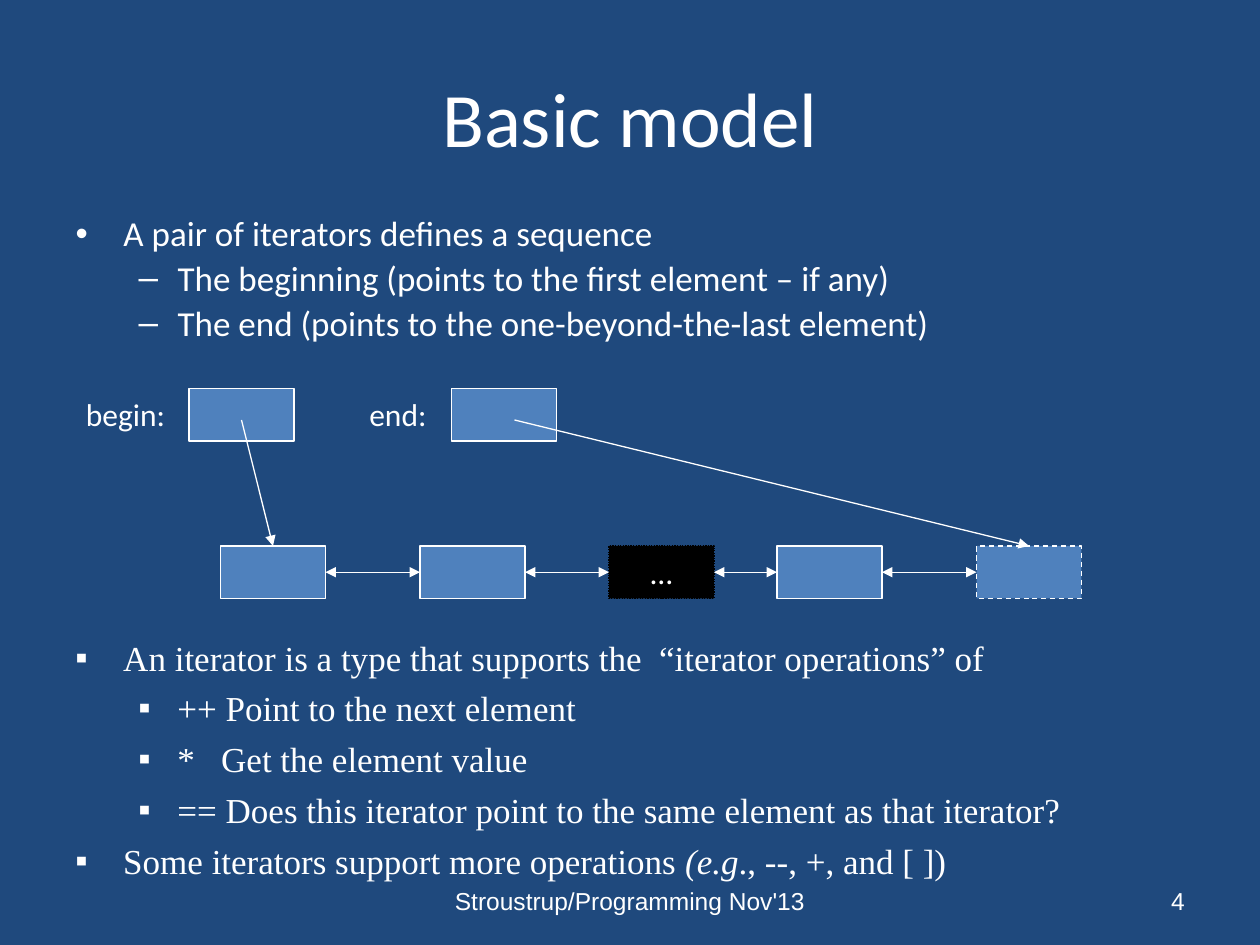
from itertools import pairwise

from lxml import etree
from pptx import Presentation
from pptx import util as u
from pptx.dml.color import RGBColor
from pptx.enum import dml, shapes, text
from pptx.oxml.ns import qn

COLORS = {"back": "1F497D", "ink": "FFFFFF", "box": "4F81BD", "gap": "000000"}
UNIT = u.Inches(1) / 12  # the slide is a grid of 120 columns by 90 rows
BOX_SIZE = (10, 5)
TOP, LEFT, RIGHT = 0, 1, 3  # connection sites of a rectangle

SEQUENCE = [
    (0, [("A pair of iterators defines a sequence", False)]),
    (1, [("The beginning (points to the first element – if any)", False)]),
    (1, [("The end (points to the one-beyond-the-last element)", False)]),
]
OPERATIONS = [
    (0, [("An iterator is a type that supports the  “iterator operations” of", False)]),
    (1, [("++ Point to the next element", False)]),
    (1, [("*   Get the element value", False)]),
    (1, [("== Does this iterator point to the same element as that iterator?", False)]),
    (0, [("Some iterators support more operations ", False), ("(e.g", True),
         ("., --, +, and [ ])", False)]),
]


def color(name):
    return RGBColor.from_string(COLORS[name])


def grid(*cells):
    return [u.Emu(round(cell * UNIT)) for cell in cells]


def place(shape, box):
    shape.left, shape.top, shape.width, shape.height = grid(*box)


def add_run(paragraph, words, size, font, italic=False):
    run = paragraph.add_run()
    run.text = words
    run.font.size = u.Pt(size)
    run.font.name = font
    run.font.italic = italic
    run.font.color.rgb = color("ink")


def add_label(slide, box, words, size=18, font="Calibri",
              align=text.PP_ALIGN.LEFT, anchor=text.MSO_ANCHOR.TOP):
    frame = slide.shapes.add_textbox(*grid(*box)).text_frame
    frame.word_wrap = True
    frame.vertical_anchor = anchor
    frame.paragraphs[0].alignment = align
    add_run(frame.paragraphs[0], words, size, font)


def add_title(slide, box, words):
    title = slide.shapes.title
    place(title, box)
    title.text_frame.vertical_anchor = text.MSO_ANCHOR.MIDDLE
    paragraph = title.text_frame.paragraphs[0]
    paragraph.alignment = text.PP_ALIGN.CENTER
    add_run(paragraph, words, 44, "Calibri")


def fill_list(shape, box, items, font, bullets, spacing, before):
    place(shape, box)
    frame = shape.text_frame
    frame.word_wrap = True
    frame.auto_size = text.MSO_AUTO_SIZE.NONE
    for index, (level, runs) in enumerate(items):
        paragraph = frame.add_paragraph() if index else frame.paragraphs[0]
        paragraph.level = level
        paragraph.line_spacing = spacing
        paragraph.space_before = u.Pt(before)
        margin, indent = [(0.38, -0.38), (0.81, -0.31)][level]
        properties = paragraph._p.get_or_add_pPr()
        properties.set("marL", str(u.Inches(margin)))
        properties.set("indent", str(u.Inches(indent)))
        etree.SubElement(properties, qn("a:buFont"), typeface="Arial")
        etree.SubElement(properties, qn("a:buChar"), char=bullets[level])
        for words, italic in runs:
            add_run(paragraph, words, 20, font, italic)


def add_box(slide, column, row, fill="box", line="ink", dash=None):
    box = slide.shapes.add_shape(shapes.MSO_SHAPE.RECTANGLE,
                                 *grid(column, row, *BOX_SIZE))
    box.shadow.inherit = False
    box.fill.solid()
    box.fill.fore_color.rgb = color(fill)
    box.line.color.rgb = color(line)
    box.line.width = u.Pt(0.75)
    if dash:
        box.line.dash_style = dash
    return box


def add_arrow(slide, target, site, source=None, start=(0, 0)):
    """Arrow into a box; two-headed when it leaves the right of another box."""
    arrow = slide.shapes.add_connector(shapes.MSO_CONNECTOR.STRAIGHT,
                                       *grid(*start, *start))
    if source is not None:
        arrow.begin_connect(source, RIGHT)
    arrow.end_connect(target, site)
    arrow.line.color.rgb = color("ink")
    arrow.line.width = u.Pt(0.75)
    line = arrow.line._get_or_add_ln()
    if source is not None:
        etree.SubElement(line, qn("a:headEnd"), type="triangle")
    etree.SubElement(line, qn("a:tailEnd"), type="triangle")
    etree.SubElement(arrow._element.spPr, qn("a:effectLst"))


def add_diagram(slide, left, top):
    # Linked elements, with a gap in the middle and one beyond the last
    row = top + 15
    first, second, gap, last, beyond = elements = [
        add_box(slide, left + 14, row),
        add_box(slide, left + 33, row),
        add_box(slide, left + 51, row, "gap", "gap", dml.MSO_LINE.ROUND_DOT),
        add_box(slide, left + 67, row),
        add_box(slide, left + 86, row, dash=dml.MSO_LINE.DASH),
    ]
    gap.text_frame.word_wrap = False
    gap.text_frame.vertical_anchor = text.MSO_ANCHOR.MIDDLE
    gap.text_frame.paragraphs[0].alignment = text.PP_ALIGN.CENTER
    add_run(gap.text_frame.paragraphs[0], "…", 18, "Calibri")
    for source, target in pairwise(elements):
        add_arrow(slide, target, LEFT, source)

    # Iterators: label, box and pointer
    for words, column, tail, target in (("begin:", left, 16, first),
                                        ("end:", left + 27, 15, beyond)):
        box_column = left + (11 if target is first else 36)
        start = box_column + (5 if target is first else 6)
        add_box(slide, box_column, top)
        add_label(slide, (column, top, 13, 4.8), words)
        add_arrow(slide, target, TOP, start=(start, top + 3))


def add_footer(slide, top, height):
    middle = text.MSO_ANCHOR.MIDDLE
    add_label(slide, (41, top, 38, height), "Stroustrup/Programming Nov'13", 14,
              "Arial", text.PP_ALIGN.CENTER, middle)
    add_label(slide, (86, top, 28, height), "4", 14,
              "Arial", text.PP_ALIGN.RIGHT, middle)


def main():
    presentation = Presentation()
    presentation.slide_width, presentation.slide_height = grid(120, 90)
    slide = presentation.slides.add_slide(presentation.slide_layouts[1])
    slide.background.fill.solid()
    slide.background.fill.fore_color.rgb = color("back")

    add_title(slide, (6, 3.6, 108, 15), "Basic model")
    fill_list(slide.placeholders[1], (6, 20, 108, 15), SEQUENCE,
              "Calibri", "•–", 0.9, 4)
    add_diagram(slide, 7, 37)
    fill_list(slide.shapes.add_textbox(0, 0, 0, 0), (6, 60, 108, 26), OPERATIONS,
              "Times New Roman", "▪▪", 1.0, 5)
    add_footer(slide, 83.4, 4.8)
    presentation.save("out.pptx")


if __name__ == "__main__":
    main()
